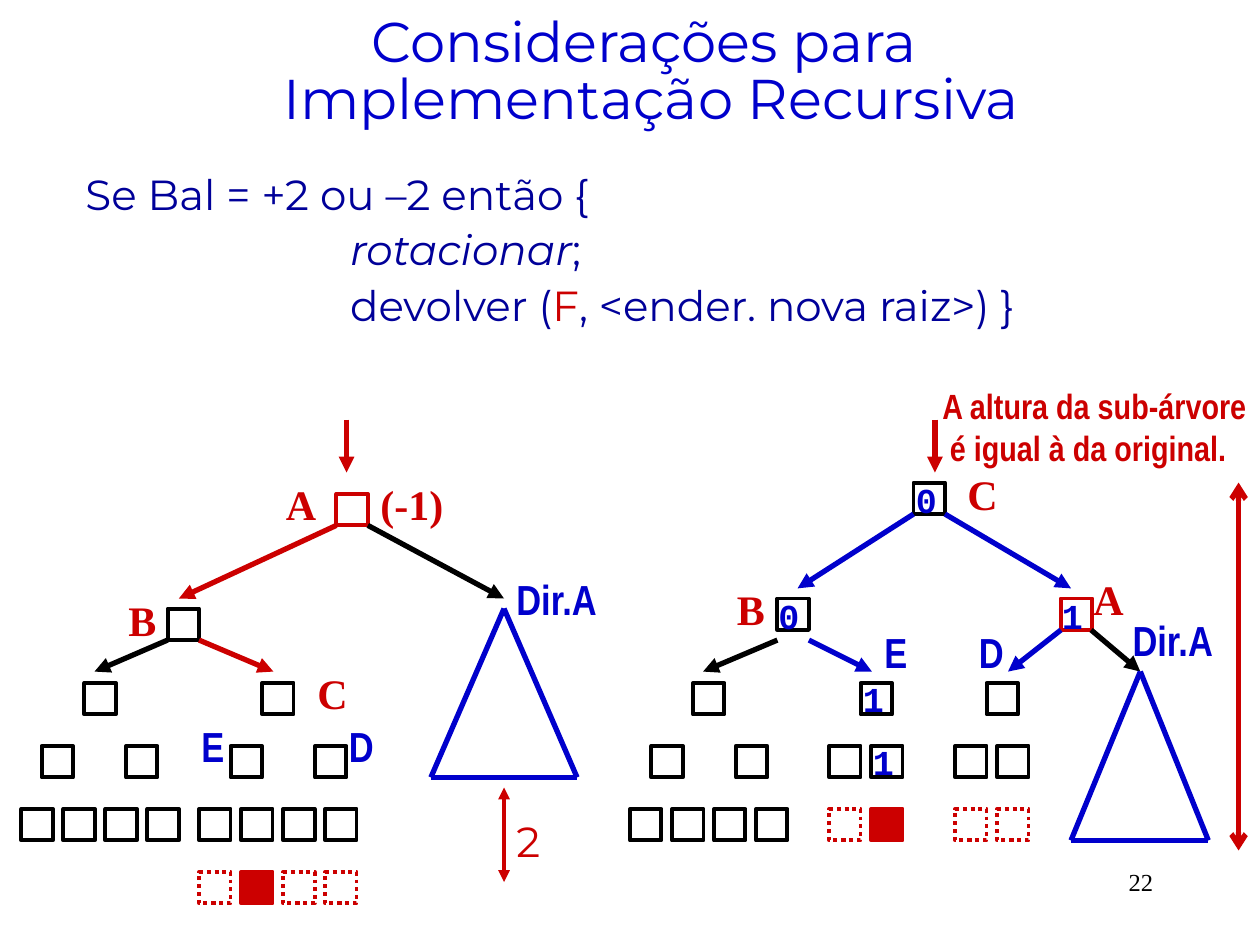
from itertools import pairwise

from lxml.etree import SubElement
from pptx import Presentation
from pptx.dml.color import RGBColor
from pptx.enum.dml import MSO_LINE_DASH_STYLE as Dash
from pptx.enum.shapes import MSO_CONNECTOR as Connector, MSO_SHAPE as Shape
from pptx.enum.text import MSO_ANCHOR as Anchor, PP_ALIGN as Align
from pptx.oxml.ns import qn
from pptx.util import Inches, Pt

COLORS = {"black": "000000", "red": "CC0000", "blue": "0000CC", "navy": "000099"}
SERIF, NARROW, MONO, SANS = "Times New Roman", "Arial Narrow", "Courier New", "Montserrat"
NODE = 0.25

deck = Presentation()
deck.slide_width, deck.slide_height = Inches(10), Inches(7.5)
slide = deck.slides.add_slide(deck.slide_layouts[6])


def add_text(left, top, width, height, lines, font, size, color, bold=False, wrap=True):
    frame = slide.shapes.add_textbox(
        Inches(left), Inches(top), Inches(width), Inches(height)).text_frame
    frame.word_wrap = wrap
    for i, line in enumerate(lines):
        paragraph = frame.paragraphs[0] if i == 0 else frame.add_paragraph()
        paragraph.text = line
        paragraph.font.name = font
        paragraph.font.size = Pt(size)
        paragraph.font.bold = bold
        paragraph.font.color.rgb = RGBColor.from_string(COLORS[color])
    return frame


def add_line(start, end, color, weight=3, head=None, tail=None):
    line = slide.shapes.add_connector(Connector.STRAIGHT, *map(Inches, (*start, *end)))
    line.line.color.rgb = RGBColor.from_string(COLORS[color])
    line.line.width = Pt(weight)
    outline = line.line._get_or_add_ln()
    for tag, arrow in (("a:headEnd", head), ("a:tailEnd", tail)):
        if arrow:
            SubElement(outline, qn(tag), type=arrow)
    SubElement(line._element.spPr, qn("a:effectLst"))


title = add_text(1.42, 0, 7.5, 1.17, ["Considerações para \vImplementação Recursiva"],
                 SANS, 32, "blue")
title.vertical_anchor = Anchor.MIDDLE
title.paragraphs[0].alignment = Align.CENTER
title.paragraphs[0].line_spacing = 0.85

pseudocode = add_text(0.58, 1.33, 8.92, 1.42, ["Se Bal = +2 ou –2 então {", "", ""],
                      SANS, 24, "navy")
condition, rotate, give_back = pseudocode.paragraphs
rotate.add_run().text = "rotacionar"
rotate.runs[0].font.italic = True
rotate.add_run().text = ";"
for part in ("devolver (", "F", ", <ender. nova raiz>) }"):
    give_back.add_run().text = part
give_back.runs[1].font.color.rgb = RGBColor.from_string(COLORS["red"])
for paragraph in pseudocode.paragraphs:
    paragraph.line_spacing = 0.9
for paragraph in (rotate, give_back):
    paragraph.space_before = Pt(6)
    paragraph._p.get_or_add_pPr().set("marL", str(Inches(2.1)))

node_rows = [
    (2.67, 3.92, 0, ["red"]),
    (1.33, 4.83, 0, ["black"]),
    (0.67, 5.42, 1.41, ["black"] * 2),
    (0.33, 5.92, 0.67, ["black"] * 2),
    (1.83, 5.92, 0.67, ["black"] * 2),
    (0.17, 6.42, 1 / 3, ["black"] * 4),
    (1.58, 6.42, 1 / 3, ["black"] * 4),
    (1.58, 6.92, 1 / 3, ["dotted", "filled", "dotted", "dotted"]),
    (7.25, 3.83, 0, ["black"]),
    (6.17, 4.75, 0, ["black"]),
    (8.42, 4.75, 0, ["red"]),
    (5.5, 5.42, 1.33, ["black"] * 2),
    (7.83, 5.42, 0, ["black"]),
    (5.17, 5.92, 0.67, ["black"] * 2),
    (6.58, 5.92, 1 / 3, ["black"] * 2),
    (7.58, 5.92, 1 / 3, ["black"] * 2),
    (5, 6.42, 1 / 3, ["black"] * 4),
    (6.58, 6.42, 1 / 3, ["dotted", "filled"]),
    (7.58, 6.42, 1 / 3, ["dotted"] * 2),
]
for left, top, step, styles in node_rows:
    for i, style in enumerate(styles):
        node = slide.shapes.add_shape(Shape.RECTANGLE, Inches(left + i * step), Inches(top),
                                      Inches(NODE), Inches(NODE))
        node.shadow.inherit = False
        node.line.width = Pt(2.25)
        node.line.color.rgb = RGBColor.from_string(
            COLORS["black" if style == "black" else "red"])
        if style == "filled":
            node.fill.solid()
            node.fill.fore_color.rgb = RGBColor.from_string(COLORS["red"])
        else:
            node.fill.background()
        if style == "dotted":
            node.line.dash_style = Dash.ROUND_DOT

branches = [
    ((2.75, 3.33), (2.75, 3.75), "red"),
    ((2.67, 4.17), (1.42, 4.75), "red"),
    ((2.92, 4.17), (4, 4.75), "black"),
    ((1.33, 5.08), (0.75, 5.33), "black"),
    ((1.58, 5.08), (2.17, 5.33), "red"),
    ((7.42, 3.33), (7.42, 3.75), "red"),
    ((7.25, 4.08), (6.33, 4.67), "blue"),
    ((7.5, 4.08), (8.5, 4.67), "blue"),
    ((6.17, 5.08), (5.58, 5.33), "black"),
    ((6.42, 5.08), (6.92, 5.33), "blue"),
    ((8.42, 5), (8, 5.33), "blue"),
    ((8.66, 5), (9.05, 5.33), "black"),
]
for parent, child, color in branches:
    add_line(parent, child, color, tail="triangle")

subtrees = [
    [(4, 4.83), (3.42, 6.17), (4.58, 6.17)],
    [(9.05, 5.33), (8.5, 6.67), (9.59, 6.67)],
]
for corners in subtrees:
    for start, end in pairwise(corners + corners[:1]):
        add_line(start, end, "blue")

add_line((4, 6.25), (4, 7), "red", 2.25, "triangle", "triangle")
add_line((9.83, 6.75), (9.83, 3.83), "red", 3, "arrow", "arrow")

node_names = [
    ("A", 2.17, 3.75, 0.5), ("(-1)", 2.92, 3.75, 0.75), ("B", 0.92, 4.67, 0.5),
    ("C", 2.42, 5.25, 0.5), ("C", 7.58, 3.67, 0.5), ("B", 5.75, 4.58, 0.5),
    ("A", 8.58, 4.5, 0.5),
]
for name, left, top, width in node_names:
    add_text(left, top, width, 0.5, [name], SERIF, 24, "red", bold=True)

subtree_names = [
    ("E", 1.5, 5.67, 0.38), ("D", 2.67, 5.67, 0.42), ("Dir.A", 4, 4.5, 0.92),
    ("E", 6.92, 4.92, 0.38), ("D", 7.67, 4.92, 0.42), ("Dir.A", 8.89, 4.83, 0.86),
]
for name, left, top, width in subtree_names:
    add_text(left, top, width, 0.5, [name], NARROW, 24, "blue", bold=True)

balances = [("0", 7.17, 3.75), ("0", 6.08, 4.67), ("1", 8.33, 4.67),
            ("1", 6.75, 5.33), ("1", 6.83, 5.83)]
for balance, left, top in balances:
    add_text(left, top, 0.39, 0.44, [balance], MONO, 20, "blue", bold=True)

add_text(4, 6.42, 0.42, 0.5, ["2"], SANS, 24, "red")
height_note = add_text(7.38, 3, 2.62, 0.77, ["A altura da sub-árvore", "é igual à da original."],
                       NARROW, 20, "red", bold=True, wrap=False)
height_note.paragraphs[1]._p.get_or_add_pPr().set("marL", str(Inches(0.06)))

page_number = add_text(7.17, 6.83, 2.08, 0.5, ["22"], SERIF, 14, "black")
page_number.paragraphs[0].alignment = Align.RIGHT

deck.save("out.pptx")
